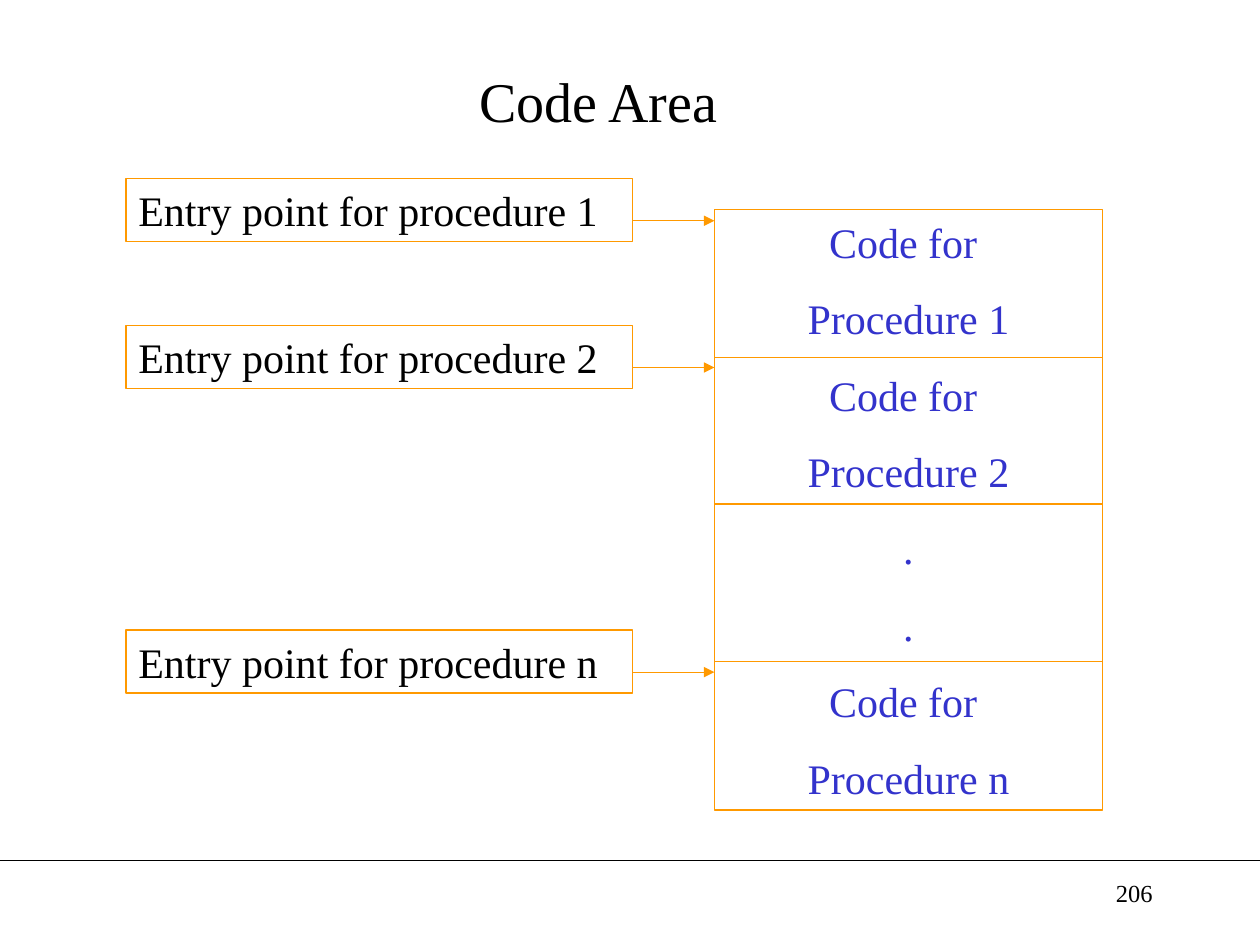
from pptx import Presentation
from pptx.dml.color import RGBColor
from pptx.enum.shapes import MSO_CONNECTOR as Connector, MSO_SHAPE as Shape
from pptx.enum.text import MSO_ANCHOR as Anchor, MSO_AUTO_SIZE as AutoSize, PP_ALIGN as Align
from pptx.oxml.ns import qn
from pptx.util import Cm, Pt
from lxml.etree import SubElement

color = RGBColor.from_string
BLACK, WHITE, ORANGE, BLUE = "000000", "FFFFFF", "FF9900", "3333CC"

deck = Presentation()
deck.slide_width, deck.slide_height = Cm(25.4), Cm(19.05)
page = deck.slides.add_slide(deck.slide_layouts[6])


def add_line(left, right, y, line_color, arrow=False):
    line = page.shapes.add_connector(Connector.STRAIGHT, Cm(left), Cm(y), Cm(right), Cm(y))
    line.line.color.rgb = color(line_color)
    line.line.width = Pt(0.75)
    if arrow:
        SubElement(line.line._get_or_add_ln(), qn("a:tailEnd"), type="triangle")
    SubElement(line._element.spPr, qn("a:effectLst"))


def add_text(left, top, width, height, lines, size, font_color, align,
             framed=False, anchor=Anchor.TOP):
    area = Cm(left), Cm(top), Cm(width), Cm(height)
    if framed:
        box = page.shapes.add_shape(Shape.RECTANGLE, *area)
        box.shadow.inherit = False
        box.fill.solid()
        box.fill.fore_color.rgb = color(WHITE)
        box.line.color.rgb = color(ORANGE)
        box.line.width = Pt(0.75)
    else:
        box = page.shapes.add_textbox(*area)
    frame = box.text_frame
    frame.word_wrap = True
    frame.auto_size = AutoSize.SHAPE_TO_FIT_TEXT if framed else AutoSize.NONE
    frame.vertical_anchor = anchor
    frame.text = "\n".join(lines)
    for index, para in enumerate(frame.paragraphs):
        para.alignment = align
        if index:
            para.space_before = Pt(15)
        para.font.name = "Times New Roman"
        para.font.size = Pt(size)
        para.font.color.rgb = color(font_color)


add_line(0, 25.4, 17.35, BLACK)
add_text(1.27, 0.64, 21.59, 2.74, ["Code Area"], 32, BLACK, Align.CENTER, anchor=Anchor.MIDDLE)

code_left, code_top, code_width, code_height = 14.4, 4.23, 7.83, 12.1
code_right = code_left + code_width
code_lines = ["Code for ", "Procedure 1", "Code for ", "Procedure 2",
              ".", ".", "Code for ", "Procedure n"]
add_text(code_left, code_top, code_width, code_height, code_lines, 24, BLUE,
         Align.CENTER, framed=True)
for divider in (7.2, 10.16, 13.33):
    add_line(code_left, code_right, divider, ORANGE)

for name, top in (("1", 3.6), ("2", 6.56), ("n", 12.7)):
    add_line(12.5, code_left, top + 0.85, ORANGE, arrow=True)
    add_text(2.54, top, 10.21, 1.27, [f"Entry point for procedure {name}"], 24, BLACK,
             Align.LEFT, framed=True)

add_text(18.2, 17.57, 5.29, 1.27, ["206"], 14, BLACK, Align.RIGHT)

deck.save("out.pptx")
